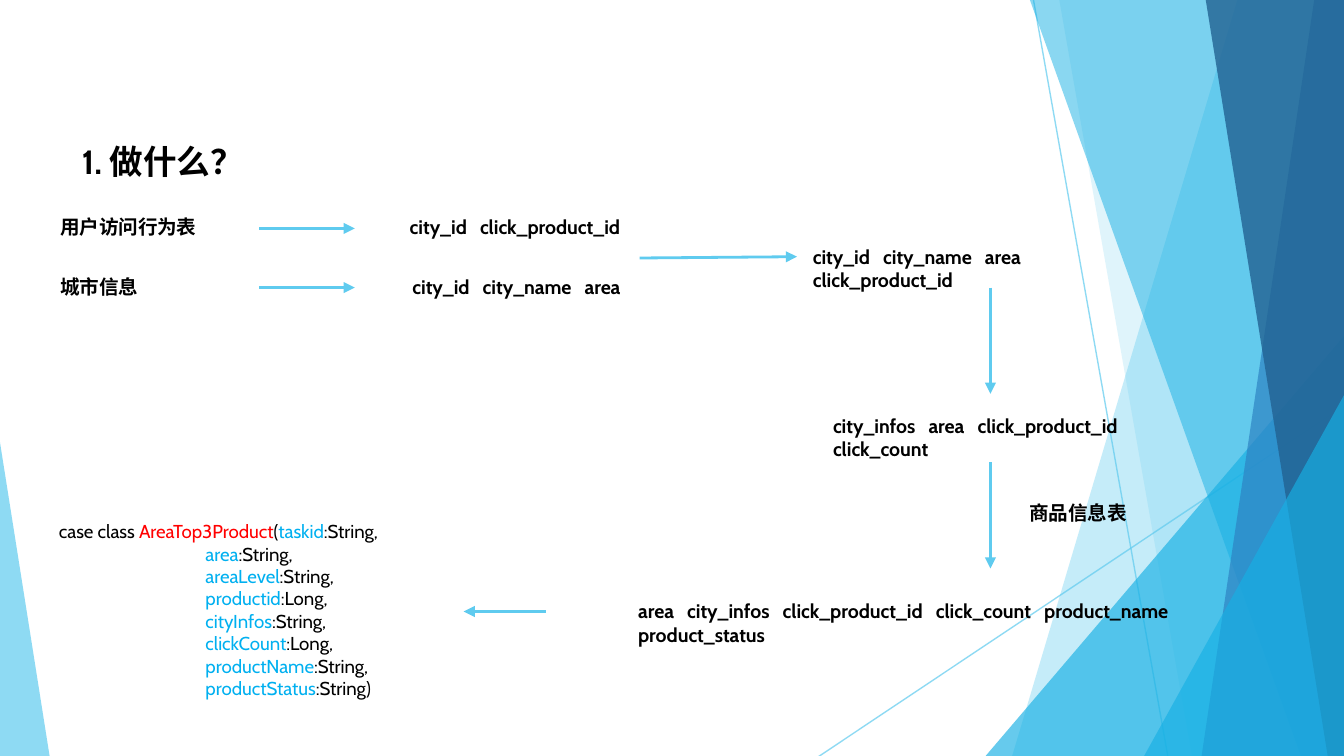
from dataclasses import dataclass
from typing import NamedTuple

from lxml import etree
from pptx import Presentation
from pptx import util as u
from pptx.dml.color import RGBColor
from pptx.enum import shapes, text
from pptx.oxml.ns import qn

PX = u.Inches(1) // 100
RIGHT = 1000
BOTTOM = 563
FIELD_GAP = " " * 3


@dataclass(frozen=True)
class Theme:
    font: str = "Cabin"
    title_size: float = 18
    label_size: float = 10.5
    code_size: float = 10
    arrow_width: float = 1.5
    ray_width: float = 0.75
    ink: str = "000000"
    class_name: str = "FF0000"
    field_name: str = "00B0F0"
    sky: str = "5FCBEF"
    cyan: str = "17B0E4"
    blue: str = "2E83C3"
    navy: str = "226292"


THEME = Theme()


class Box(NamedTuple):
    left: int
    top: int
    width: int
    height: int


class Line(NamedTuple):
    x1: int
    y1: int
    x2: int
    y2: int


class Facet(NamedTuple):
    """A panel from the top to the bottom edge, reaching the right edge."""
    top_x: int
    bottom_x: int
    color: str
    opacity: int


class Wedge(NamedTuple):
    """A right-angled triangle; apex 0 is at the left, 1 at the right."""
    box: Box
    apex: int
    color: str
    opacity: int


class Label(NamedTuple):
    words: str
    box: Box


class Field(NamedTuple):
    name: str
    kind: str


def columns(*names: str) -> str:
    return FIELD_GAP.join(names)


RAYS = (Line(769, 0, 869, BOTTOM), Line(RIGHT, 302, 609, BOTTOM))
SCENERY = (
    Facet(921, 753, THEME.sky, 36),
    Facet(788, 887, THEME.sky, 20),
    Wedge(Box(733, 250, 267, 313), 1, THEME.cyan, 66),
    Facet(766, 968, THEME.cyan, 50),
    Facet(978, 894, THEME.blue, 70),
    Facet(897, 988, THEME.navy, 80),
    Wedge(Box(851, 294, 149, 269), 1, THEME.cyan, 66),
    Wedge(Box(0, 329, 37, 234), 0, THEME.sky, 70),
)
TITLE = Label("1. 做什么？", Box(51, 100, 142, 40))
LABELS = (
    Label("用户访问行为表", Box(35, 155, 134, 29)),
    Label("城市信息", Box(35, 200, 87, 28)),
    Label(columns("city_id", "click_product_id"), Box(295, 155, 181, 28)),
    Label(columns("city_id", "city_name", "area"), Box(297, 200, 181, 28)),
    Label(columns("city_id", "city_name", "area", "click_product_id"), Box(595, 177, 283, 28)),
    Label(columns("city_infos", "area", "click_product_id", "click_count"), Box(610, 303, 307, 28)),
    Label(columns("area", "city_infos", "click_product_id", "click_count",
                  "product_name", "product_status"), Box(465, 441, 504, 28)),
    Label("商品信息表", Box(756, 368, 96, 29)),
)
ARROWS = (
    Line(193, 170, 264, 170),
    Line(193, 214, 264, 214),
    Line(476, 192, 593, 191),
    Line(737, 214, 737, 293),
    Line(737, 344, 737, 423),
)
RESULT_ARROW = Line(406, 455, 345, 455)
CODE_BOX = Box(34, 382, 311, 146)
CODE_INDENT = 109
CLASS_NAME = "AreaTop3Product"
FIELDS = (
    Field("taskid", "String"), Field("area", "String"),
    Field("areaLevel", "String"), Field("productid", "Long"),
    Field("cityInfos", "String"), Field("clickCount", "Long"),
    Field("productName", "String"), Field("productStatus", "String"),
)


def emu(lengths: tuple[int, ...]) -> list[int]:
    return [length * PX for length in lengths]


def set_opacity(element, opacity: int) -> None:
    color = next(element.iter(qn("a:srgbClr")))
    etree.SubElement(color, qn("a:alpha"), val=str(opacity * 1000))


def paint(shape, color: str, opacity: int) -> None:
    shape.shadow.inherit = False
    shape.fill.solid()
    shape.fill.fore_color.rgb = RGBColor.from_string(color)
    shape.line.fill.background()
    set_opacity(shape._element.spPr, opacity)


def draw_facet(slide, facet: Facet) -> None:
    builder = slide.shapes.build_freeform(facet.top_x, -1, scale=PX)
    builder.add_line_segments(
        ((RIGHT, -1), (RIGHT, BOTTOM), (facet.bottom_x, BOTTOM)), close=True)
    paint(builder.convert_to_shape(), facet.color, facet.opacity)


def draw_wedge(slide, wedge: Wedge) -> None:
    triangle = slide.shapes.add_shape(
        shapes.MSO_SHAPE.ISOSCELES_TRIANGLE, *emu(wedge.box))
    triangle.adjustments[0] = wedge.apex
    paint(triangle, wedge.color, wedge.opacity)


def draw_line(slide, line: Line, width: float):
    connector = slide.shapes.add_connector(shapes.MSO_CONNECTOR.STRAIGHT, *emu(line))
    connector.line.color.rgb = RGBColor.from_string(THEME.sky)
    connector.line.width = u.Pt(width)
    etree.SubElement(connector._element.spPr, qn("a:effectLst"))
    return connector


def draw_arrow(slide, line: Line):
    arrow = draw_line(slide, line, THEME.arrow_width)
    etree.SubElement(arrow.line._get_or_add_ln(), qn("a:tailEnd"), type="triangle")
    return arrow


def style_font(font, size: float, bold: bool) -> None:
    font.name = THEME.font
    font.size = u.Pt(size)
    font.bold = bold
    font.color.rgb = RGBColor.from_string(THEME.ink)


def write_label(shape, words: str, size: float) -> None:
    frame = shape.text_frame
    frame.text = words
    frame.word_wrap = True
    frame.auto_size = text.MSO_AUTO_SIZE.SHAPE_TO_FIT_TEXT
    frame.vertical_anchor = text.MSO_ANCHOR.TOP
    frame.paragraphs[0].alignment = text.PP_ALIGN.LEFT
    style_font(frame.paragraphs[0].font, size, True)


def add_run(paragraph, words: str, color: str) -> None:
    run = paragraph.add_run()
    run.text = words
    style_font(run.font, THEME.code_size, False)
    run.font.color.rgb = RGBColor.from_string(color)


def draw_code(slide):
    code = slide.shapes.add_textbox(*emu(CODE_BOX))
    frame = code.text_frame
    frame.word_wrap = True
    frame.auto_size = text.MSO_AUTO_SIZE.SHAPE_TO_FIT_TEXT
    for index, field in enumerate(FIELDS):
        if index:
            paragraph = frame.add_paragraph()
            paragraph._p.get_or_add_pPr().set("marL", str(CODE_INDENT * PX))
        else:
            paragraph = frame.paragraphs[0]
            add_run(paragraph, "case class ", THEME.ink)
            add_run(paragraph, CLASS_NAME, THEME.class_name)
            add_run(paragraph, "(", THEME.ink)
        ending = ")" if field is FIELDS[-1] else ","
        add_run(paragraph, field.name, THEME.field_name)
        add_run(paragraph, f":{field.kind}{ending}", THEME.ink)
    return code


def main() -> None:
    deck = Presentation()
    deck.slide_width = RIGHT * PX
    deck.slide_height = deck.slide_width * 9 // 16
    slide = deck.slides.add_slide(deck.slide_layouts[5])

    for ray in RAYS:
        set_opacity(draw_line(slide, ray, THEME.ray_width)._element, 70)
    for piece in SCENERY:
        if isinstance(piece, Facet):
            draw_facet(slide, piece)
        else:
            draw_wedge(slide, piece)

    title = slide.shapes.title
    title.left, title.top, title.width, title.height = emu(TITLE.box)
    write_label(title, TITLE.words, THEME.title_size)
    for label in LABELS:
        write_label(slide.shapes.add_textbox(*emu(label.box)), label.words, THEME.label_size)
    for arrow in ARROWS:
        draw_arrow(slide, arrow)
    draw_arrow(slide, RESULT_ARROW).end_connect(draw_code(slide), 3)
    deck.save("out.pptx")


if __name__ == "__main__":
    main()
